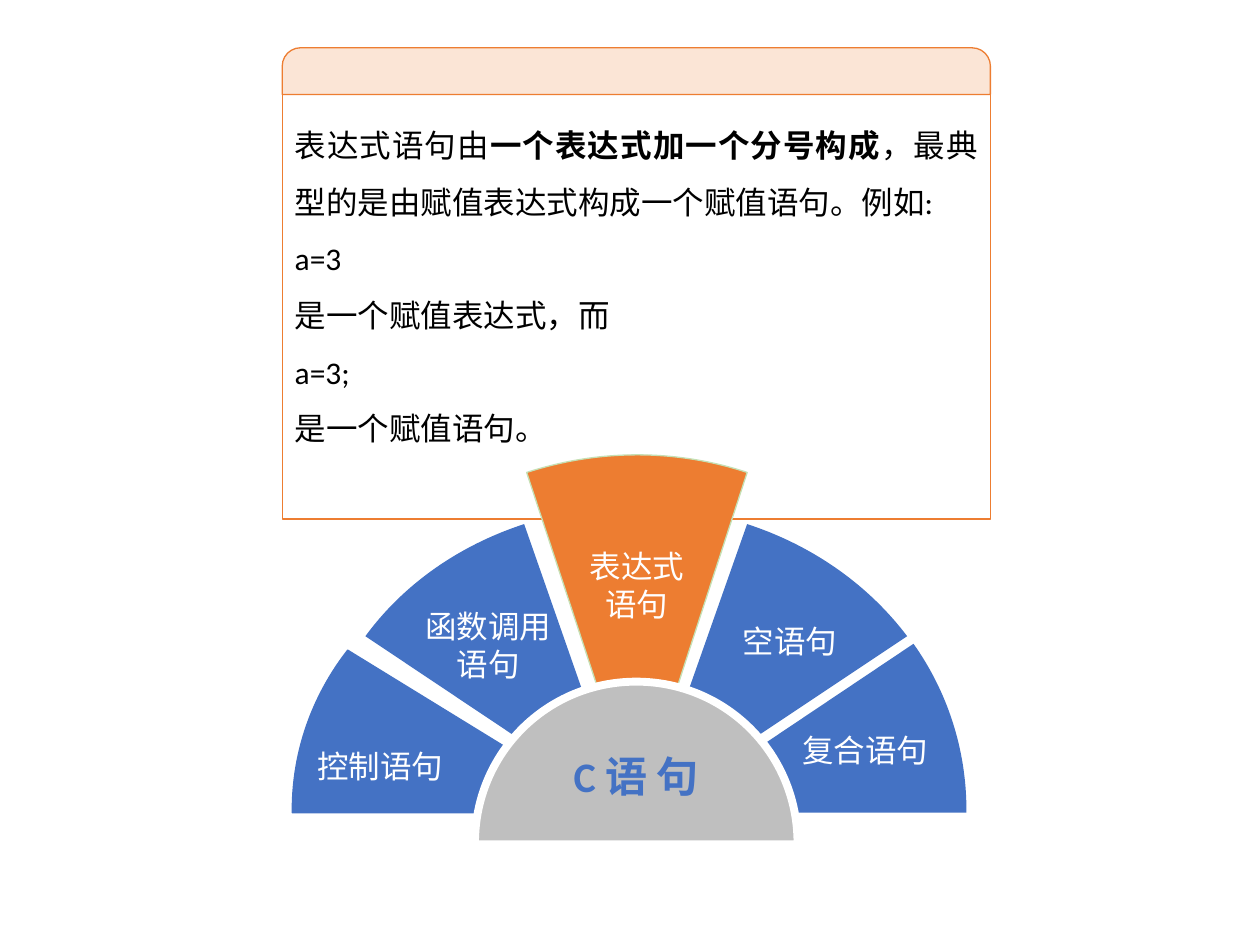
from pptx import Presentation
from pptx.dml.color import RGBColor
from pptx.enum.shapes import MSO_SHAPE as Shape
from pptx.enum.text import MSO_ANCHOR as Anchor, PP_ALIGN as Align
from pptx.oxml.ns import qn
from pptx.util import Inches, Pt

BLUE, ORANGE, WHITE = "4472C4", "ED7D31", "FFFFFF"

# Points are inches from the middle of the fan's base.
# label lines, outer edge as cubic curves, inner points, fill, line, text insets
WEDGES = [
    (["函数调用", "语句"],
     [(-0.89, -2.27), (-1.41, -2.1), (-1.85, -1.79), (-2.15, -1.38)],
     [(-0.1, -0.01)], BLUE, None, (0.1, 0.05, 0.2, 0.39)),
    (["控制语句"],
     [(-2.73, 0), (-2.73, -0.47), (-2.57, -0.91), (-2.29, -1.27)],
     [(-0.19, 0.02), (-2.73, 0.02)], BLUE, BLUE, (0.2, 0.59, 0.1, 0.05)),
    (["表达式", "语句"],
     [(0.88, -2.68), (0.61, -2.77), (0.31, -2.82), (0.01, -2.82),
      (-0.3, -2.82), (-0.59, -2.77), (-0.87, -2.68)],
     [(0.01, -0.01)], ORANGE, "C5E0B4", (0.1, 0.05, 0.1, 0.79)),
    (["空语句"],
     [(2.15, -1.38), (1.84, -1.79), (1.4, -2.1), (0.88, -2.27)],
     [(0.08, 0)], BLUE, None, (0.31, 0.05, 0.1, 0.47)),
    (["复合语句"],
     [(2.62, 0), (2.62, -0.48), (2.47, -0.94), (2.2, -1.32)],
     [(0.2, 0.02), (2.62, 0.02)], BLUE, None, (0.91, 0.39, 0.1, 0.05)),
]
HUB_EDGE = [(1.28, 0.26), (1.28, -0.45), (0.71, -1.02), (0, -1.02),
            (-0.71, -1.02), (-1.28, -0.45), (-1.28, 0.26)]
HUB_BASE = [(-1.28, 0.27), (1.28, 0.27)]

CARD_TEXT = [
    [("表达式语句由", False), ("一个表达式加一个分号构成", True),
     ("，最典型的是由赋值表达式构成一个赋值语句。例如: ", False)],
    [("a=3", False)],
    [("是一个赋值表达式，而", False)],
    [("a=3;", False)],
    [("是一个赋值语句。", False)],
]


def rgb(value):
    return RGBColor.from_string(value)


def paint(shape, fill, line=None, weight=0.75):
    shape.shadow.inherit = False
    shape.fill.solid()
    shape.fill.fore_color.rgb = rgb(fill)
    if line:
        shape.line.color.rgb = rgb(line)
        shape.line.width = Pt(weight)
    else:
        shape.line.fill.background()


def write(shape, paragraphs, color, insets, size=18, align=Align.CENTER,
          anchor=Anchor.MIDDLE, spacing=None):
    """Fill a shape with paragraphs, each a list of (text, bold) runs."""
    frame = shape.text_frame
    frame.word_wrap = True
    frame.vertical_anchor = anchor
    (frame.margin_left, frame.margin_top,
     frame.margin_right, frame.margin_bottom) = map(Inches, insets)
    for index, runs in enumerate(paragraphs):
        para = frame.add_paragraph() if index else frame.paragraphs[0]
        para.alignment = align
        para.line_spacing = spacing
        for text, bold in runs:
            span = para.add_run()
            span.text = text
            span.font.name = "Calibri"
            span.font.size = Pt(size)
            span.font.bold = bold
            span.font.color.rgb = rgb(color)


def outline(page, x, y, edge, inner):
    """Closed shape around (x, y): cubic curves, then straight lines."""
    placed = [(Inches(x + dx), Inches(y + dy)) for dx, dy in edge + inner]
    builder = page.shapes.build_freeform(*placed[0])
    builder.add_line_segments(placed[1:], close=True)
    shape = builder.convert_to_shape()
    segments = list(shape.element.iter(qn("a:lnTo")))
    for start in range(0, len(edge) - 1, 3):
        first, *others = segments[start:start + 3]
        curve = first.makeelement(qn("a:cubicBezTo"))
        first.addprevious(curve)
        for segment in (first, *others):
            curve.append(segment[0])
            segment.getparent().remove(segment)
    return shape


def add_card(page, left, top, width, height):
    header_height = 0.37
    body = page.shapes.add_shape(
        Shape.RECTANGLE, Inches(left), Inches(top + header_height),
        Inches(width), Inches(height - header_height))
    paint(body, WHITE, ORANGE)
    write(body, CARD_TEXT, "000000", (0.1,) * 4, align=Align.JUSTIFY,
          anchor=Anchor.TOP, spacing=1.5)
    header = page.shapes.add_shape(
        Shape.ROUND_2_SAME_RECTANGLE, Inches(left), Inches(top),
        Inches(width), Inches(header_height))
    header.adjustments[0] = 0.39
    header.adjustments[1] = 0
    paint(header, "FBE5D6", ORANGE)


def add_fan(page, x, y):
    """Five wedges and a half-disc hub around the base point (x, y)."""
    for labels, edge, inner, fill, line, insets in WEDGES:
        wedge = outline(page, x, y, edge, inner)
        paint(wedge, fill, line)
        align = Align.JUSTIFY if labels == ["控制语句"] else Align.CENTER
        write(wedge, [[(label, False)] for label in labels], WHITE, insets,
              align=align)
    hub = outline(page, x, y, HUB_EDGE, HUB_BASE)
    paint(hub, "BFBFBF", WHITE, 4.5)
    write(hub, [[("C 语 句", True)]], BLUE, (0, 0.2, 0, 0), size=24)


def main():
    deck = Presentation()
    deck.slide_width, deck.slide_height = Inches(10), Inches(7.5)
    page = deck.slides.add_slide(deck.slide_layouts[6])
    add_card(page, 2.24, 0.38, 5.62, 3.74)
    add_fan(page, 5.05, 6.43)
    deck.save("out.pptx")


if __name__ == "__main__":
    main()
